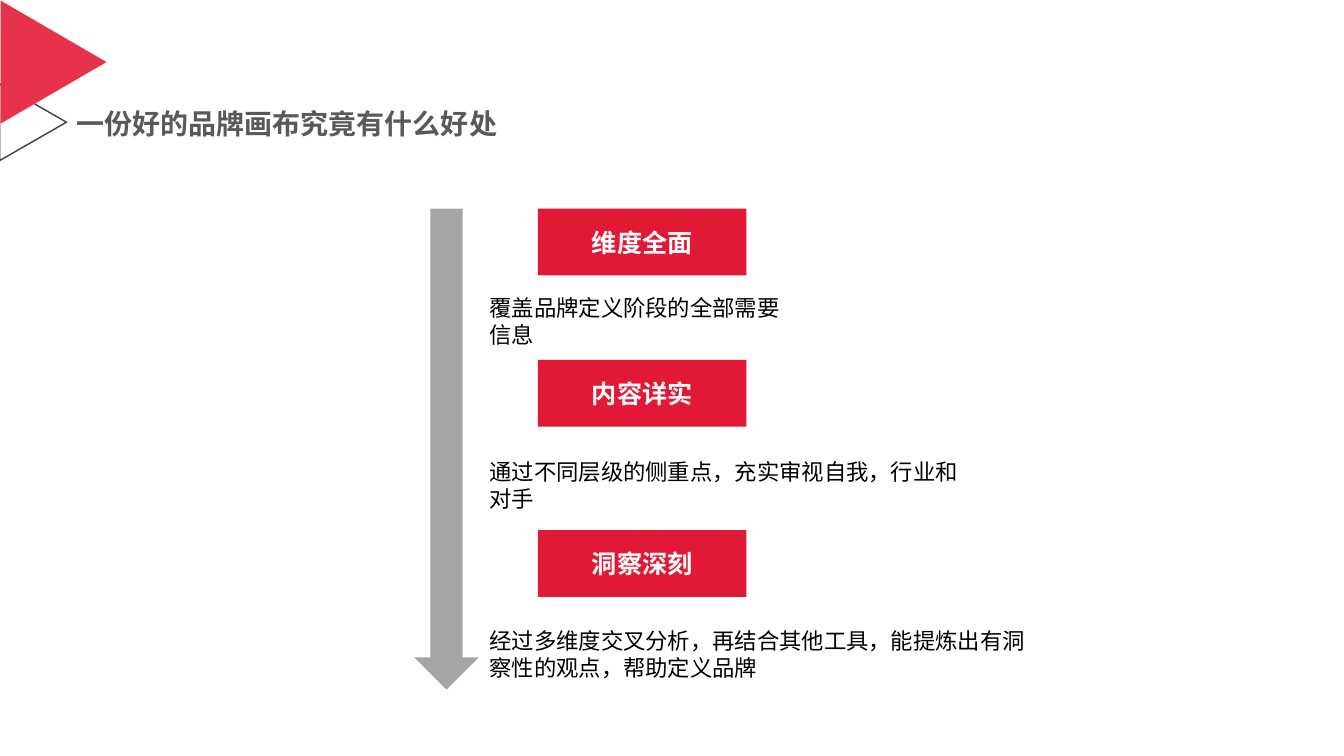
from lxml import etree
from pptx import Presentation
from pptx.dml.color import RGBColor
from pptx.enum.shapes import MSO_SHAPE as SHAPE
from pptx.enum.text import MSO_ANCHOR as ANCHOR, MSO_AUTO_SIZE as AUTO, PP_ALIGN as ALIGN
from pptx.oxml.ns import qn
from pptx.util import Cm, Pt


def color(value):
    return RGBColor.from_string(value)


class Deck:
    font = "Noto Sans CJK SC"
    red, light_red, gray = "E11936", "E8314A", "A5A5A5"
    dark, title_gray, black, white = "404040", "595959", "000000", "FFFFFF"

    def __init__(self, prs):
        self.s = prs.slides.add_slide(prs.slide_layouts[5])

    def set_text(self, shape, text, size, fill, bold=False, align=ALIGN.LEFT,
                 anchor=ANCHOR.TOP, margins=(0.33, 0.17), spacing=None):
        tf = shape.text_frame
        tf.text = text
        tf.word_wrap = True
        tf.auto_size = AUTO.NONE
        tf.vertical_anchor = anchor
        tf.margin_left = tf.margin_right = Cm(margins[0])
        tf.margin_top = tf.margin_bottom = Cm(margins[1])
        p = tf.paragraphs[0]
        p.alignment = align
        p.space_before = Pt(0)
        if spacing:
            p.line_spacing = spacing
        p.font.size, p.font.bold, p.font.name = Pt(size), bold, self.font
        p.font.color.rgb = color(fill)
        # East Asian typeface, on the run as well as the paragraph
        r = p.runs[0]
        r.font.name = self.font
        for rpr in (p._p.pPr.find(qn("a:defRPr")), r._r.rPr):
            latin = rpr.find(qn("a:latin"))
            ea = etree.Element(qn("a:ea"), typeface=self.font)
            latin.addnext(ea)

    def title(self, text, x, y, w, h):
        sp = self.s.shapes.title
        sp.left, sp.top, sp.width, sp.height = Cm(x), Cm(y), Cm(w), Cm(h)
        self.set_text(sp, text, 20, self.title_gray, bold=True, anchor=ANCHOR.MIDDLE,
                      margins=(0.13, 0.13), spacing=0.9)

    def shape(self, kind, x, y, w, h, fill=None, line=None, rotation=0):
        sp = self.s.shapes.add_shape(kind, Cm(x), Cm(y), Cm(w), Cm(h))
        sp.shadow.inherit = False
        sp.rotation = rotation
        if fill:
            sp.fill.solid()
            sp.fill.fore_color.rgb = color(fill)
        else:
            sp.fill.background()
        if line:
            sp.line.color.rgb = color(line)
            sp.line.width = Pt(1)
        else:
            sp.line.fill.background()
        return sp

    def label(self, text, x, y, w, h):
        sp = self.shape(SHAPE.RECTANGLE, x, y, w, h, fill=self.red)
        self.set_text(sp, text, 18, self.white, bold=True, align=ALIGN.CENTER,
                      anchor=ANCHOR.MIDDLE, margins=(0.33, 0.15))

    def description(self, text, x, y, w, h):
        sp = self.s.shapes.add_textbox(Cm(x), Cm(y), Cm(w), Cm(h))
        self.set_text(sp, text, 16, self.black, spacing=Pt(19.3))


def main():
    prs = Presentation()
    prs.slide_width, prs.slide_height = Cm(33.88), Cm(19.05)
    deck = Deck(prs)

    # Corner triangles and title
    deck.shape(SHAPE.ISOSCELES_TRIANGLE, -0.13, 2.24, 1.93, 1.68,
               line=deck.dark, rotation=90)
    deck.shape(SHAPE.ISOSCELES_TRIANGLE, -0.2, 0.23, 3.1, 2.67,
               fill=deck.light_red, rotation=90)
    deck.title("一份好的品牌画布究竟有什么好处", 1.8, 2.64, 10.95, 1.02)

    # Downward arrow
    deck.shape(SHAPE.DOWN_ARROW, 10.44, 5.26, 1.63, 12.12, fill=deck.gray)

    # Benefits: label, its top, description, its top and width
    benefits = [
        ("维度全面", 5.26, "覆盖品牌定义阶段的全部需要信息", 7.24, 8.38),
        ("内容详实", 9.07, "通过不同层级的侧重点，充实审视自我，行业和对手", 11.38, 12.6),
        ("洞察深刻", 13.36, "经过多维度交叉分析，再结合其他工具，能提炼出有洞察性的观点，帮助定义品牌",
         15.62, 14.48),
    ]
    for name, name_top, text, text_top, width in benefits:
        deck.label(name, 13.56, name_top, 5.26, 1.68)
        deck.description(text, 12.01, text_top, width, 1.5)

    prs.save("out.pptx")


if __name__ == "__main__":
    main()
